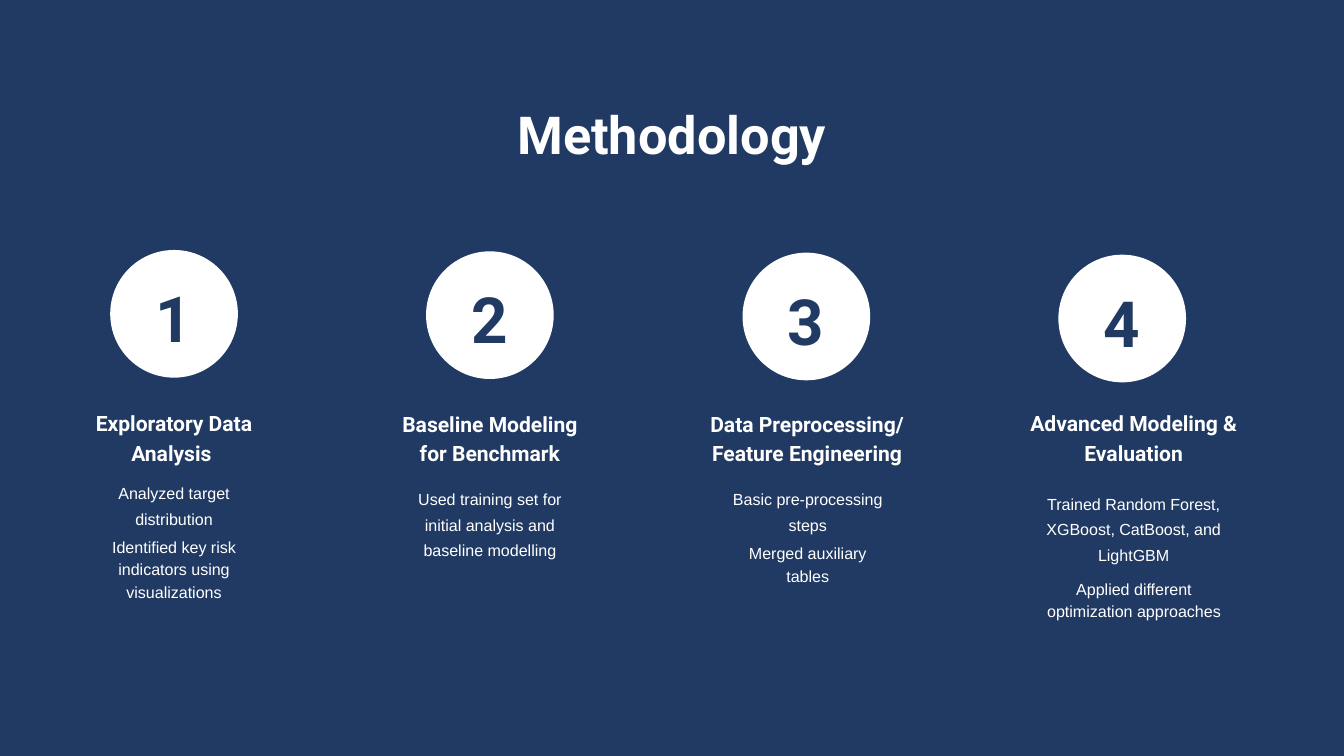
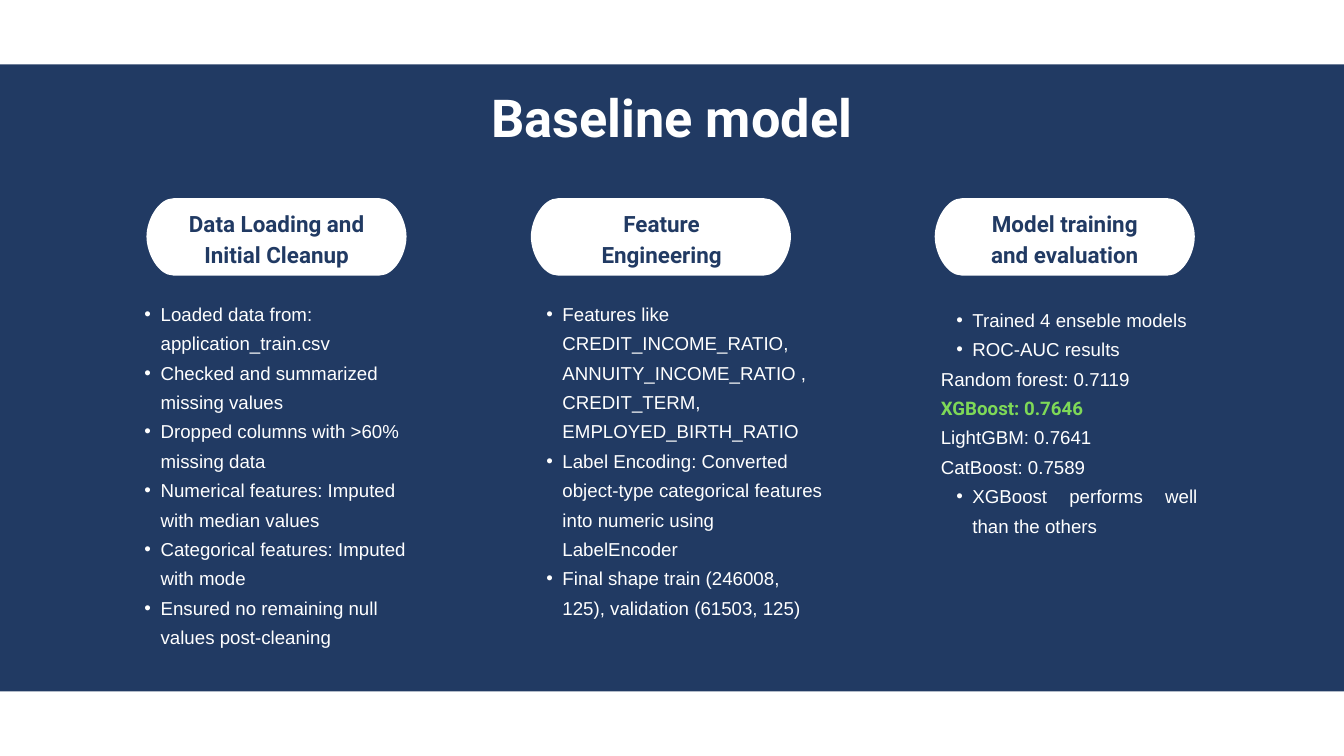
from lxml import etree
from pptx import Presentation
from pptx.dml.color import RGBColor
from pptx.enum.shapes import MSO_SHAPE
from pptx.enum.text import MSO_ANCHOR, MSO_AUTO_SIZE, PP_ALIGN
from pptx.oxml.ns import qn
from pptx.util import Pt

OVAL, RECTANGLE = MSO_SHAPE.OVAL, MSO_SHAPE.RECTANGLE
LEFT, CENTER, JUSTIFY = PP_ALIGN.LEFT, PP_ALIGN.CENTER, PP_ALIGN.JUSTIFY
TOP, GROW = MSO_ANCHOR.TOP, MSO_AUTO_SIZE.SHAPE_TO_FIT_TEXT

PX = 9144  # 100 px to the inch
PAGE_WIDTH, PAGE_HEIGHT = 2000, 1125
NAVY, WHITE, GREEN = "213A63", "FFFFFF", "7ED957"

TITLE = {"name": "Roboto", "size": Pt(56), "bold": True, "color": WHITE}
NUMBER = {"name": "Roboto", "size": Pt(68.2), "bold": True, "color": NAVY}
HEADING = {"name": "Roboto", "size": Pt(22.6), "bold": True, "color": WHITE}
NOTE = {"name": "Arial", "size": Pt(17.2), "bold": False, "color": WHITE}
PILL_LABEL = {"name": "Roboto", "size": Pt(24), "bold": True, "color": NAVY}
ITEM = {"name": "Arial", "size": Pt(20), "bold": False, "color": WHITE}
BEST = ITEM | {"name": "Roboto", "bold": True, "color": GREEN}

LOOSE, TIGHT = 27.1, 24.1  # line spacing of notes, in points

# heading lines, heading box, notes (text, box, line spacing)
STEPS = [
    (["Exploratory Data Analysis "], (116, 605, 286, 85), [
        ("Analyzed target distribution", (146, 711, 226, 109), LOOSE),
        ("Identified key risk indicators using visualizations", (146, 795, 226, 97), TIGHT)]),
    (["Baseline Modeling", "for Benchmark"], (586, 606, 286, 84), [
        ("Used training set for initial analysis and baseline modelling",
         (616, 720, 226, 107), LOOSE)]),
    (["Data Preprocessing/ Feature Engineering"], (1036, 606, 330, 84), [
        ("Basic pre-processing steps", (1089, 720, 226, 71), LOOSE),
        ("Merged auxiliary tables", (1089, 804, 226, 63), TIGHT)]),
    (["Advanced Modeling & Evaluation"], (1522, 605, 330, 85), [
        ("Trained Random Forest, XGBoost, CatBoost, and LightGBM",
         (1557, 727, 260, 109), LOOSE),
        ("Applied different optimization approaches", (1551, 857, 273, 64), TIGHT)]),
]

# pill left, label, label left and width, list box, alignment, items (text, has bullet, font)
STAGES = [
    (218, "Data Loading and Initial Cleanup", (251, 321), (192, 440, 438, 509), LEFT, [
        ("Loaded data from: application_train.csv", True, ITEM),
        ("Checked and summarized missing values", True, ITEM),
        ("Dropped columns with >60% missing data", True, ITEM),
        ("Numerical features: Imputed with median values", True, ITEM),
        ("Categorical features: Imputed with mode", True, ITEM),
        ("Ensured no remaining null values post-cleaning", True, ITEM)]),
    (790, "Feature Engineering", (864, 241), (790, 440, 441, 509), LEFT, [
        ("Features like CREDIT_INCOME_RATIO, ANNUITY_INCOME_RATIO , "
         "CREDIT_TERM, EMPLOYED_BIRTH_RATIO", True, ITEM),
        ("Label Encoding: Converted object-type categorical features "
         "into numeric using LabelEncoder", True, ITEM),
        ("Final shape train (246008, 125), validation (61503, 125)", True, ITEM)]),
    (1391, "Model training and evaluation", (1453, 263), (1400, 449, 382, 339), JUSTIFY, [
        ("Trained 4 enseble models ", True, ITEM),
        ("ROC-AUC results", True, ITEM),
        ("Random forest: 0.7119", False, ITEM),
        ("XGBoost: 0.7646", False, BEST),
        ("LightGBM: 0.7641", False, ITEM),
        ("CatBoost: 0.7589", False, ITEM),
        ("XGBoost performs well than the others", True, ITEM)]),
]


def rgb(color):
    return RGBColor.from_string(color)


def scaled(box):
    return [length * PX for length in box]


def paint(shape, color):
    shape.shadow.inherit = False
    shape.fill.solid()
    shape.fill.fore_color.rgb = rgb(color)
    shape.line.fill.background()


def add_filled(page, kind, box, color):
    paint(page.shapes.add_shape(kind, *scaled(box)), color)


def add_bullet(para):
    properties = para._p.get_or_add_pPr()
    properties.set("marL", str(47 * PX))
    properties.set("indent", str(-24 * PX))
    etree.SubElement(properties, qn("a:buFont")).set("typeface", "Arial")
    etree.SubElement(properties, qn("a:buChar")).set("char", "•")


def write(shape, items, spacing, align=CENTER):
    """Fill a shape with (text, has bullet, font) items, one paragraph each."""
    frame = shape.text_frame
    settings = {"margin_left": 0, "margin_top": 0, "margin_right": 0, "margin_bottom": 0,
                "word_wrap": True, "auto_size": GROW, "vertical_anchor": TOP}
    for name, value in settings.items():
        setattr(frame, name, value)
    for index, (text, has_bullet, font) in enumerate(items):
        para = frame.add_paragraph() if index else frame.paragraphs[0]
        para.alignment = align
        para.line_spacing = Pt(spacing)
        if has_bullet:
            add_bullet(para)
        span = para.add_run()
        span.text = text
        for name, value in font.items():
            if name == "color":
                span.font.color.rgb = rgb(value)
            else:
                setattr(span.font, name, value)


def add_text(page, box, items, spacing, align=CENTER):
    write(page.shapes.add_textbox(*scaled(box)), items, spacing, align)


def add_page(deck, title, box, spacing):
    page = deck.slides.add_slide(deck.slide_layouts[5])
    page.background.fill.solid()
    page.background.fill.fore_color.rgb = rgb(NAVY)
    holder = page.shapes.title
    holder.left, holder.top, holder.width, holder.height = scaled(box)
    write(holder, [(title, False, TITLE)], spacing)
    return page


def add_step(page, center, top, number, step):
    """Place a numbered circle on a centre line, with its heading and notes."""
    heading, heading_box, notes = step
    add_filled(page, OVAL, (center - 95, top, 190, 190), WHITE)
    add_text(page, (center - 147, top + 24, 293, 128), [(str(number), False, NUMBER)], 95.5)
    add_text(page, heading_box, [(line, False, HEADING) for line in heading], 31.6)
    for text, box, spacing in notes:
        add_text(page, box, [(text, False, NOTE)], spacing)


def add_pill(page, box):
    """Draw a bar whose corners are quarter ellipses."""
    left, top, width, height = box
    right, bottom, middle = left + width, top + height, top + height / 2
    corner, pull_x, pull_y = 40, 18, height * 0.225
    start, low_left = (right - corner, top), (left + corner, bottom)
    curves = [
        [(right - pull_x, top), (right, middle - pull_y), (right, middle)],
        [(right, middle + pull_y), (right - pull_x, bottom), (right - corner, bottom)],
        [(left + pull_x, bottom), (left, middle + pull_y), (left, middle)],
        [(left, middle - pull_y), (left + pull_x, top), (left + corner, top)],
    ]
    points = [*curves[0], *curves[1], low_left, *curves[2], *curves[3]]
    outline = page.shapes.build_freeform(*start, scale=PX)
    outline.add_line_segments(points, close=True)
    pill = outline.convert_to_shape()
    segments = list(pill._element.iter(qn("a:lnTo")))
    for first in (0, 3, 7, 10):
        curve = etree.Element(qn("a:cubicBezTo"))
        segments[first].addprevious(curve)
        for segment in segments[first:first + 3]:
            curve.append(segment[0])
            segment.getparent().remove(segment)
    paint(pill, WHITE)


def add_stage(page, stage):
    pill_left, label, (label_left, label_width), list_box, align, items = stage
    pill_top = 295
    add_pill(page, (pill_left, pill_top, 387, 115))
    add_text(page, list_box, items, 31.5, align)
    add_text(page, (label_left, pill_top + 11, label_width, 89),
             [(label, False, PILL_LABEL)], 33.6)


def build_methodology(deck):
    page = add_page(deck, "Methodology", (348, 148, 1304, 93), 69.7)
    for index, step in enumerate(STEPS):
        add_step(page, round(259 + 470.4 * index), round(372 + 2.2 * index), index + 1, step)


def build_baseline(deck):
    page = add_page(deck, "Baseline model", (218, 112, 1564, 103), 78.4)
    for stage in STAGES:
        add_stage(page, stage)
    band = 96
    for top in (0, PAGE_HEIGHT - band):
        add_filled(page, RECTANGLE, (0, top, PAGE_WIDTH, band), WHITE)


def main():
    deck = Presentation()
    deck.slide_width, deck.slide_height = scaled((PAGE_WIDTH, PAGE_HEIGHT))
    build_methodology(deck)
    build_baseline(deck)
    deck.save("out.pptx")


if __name__ == "__main__":
    main()
